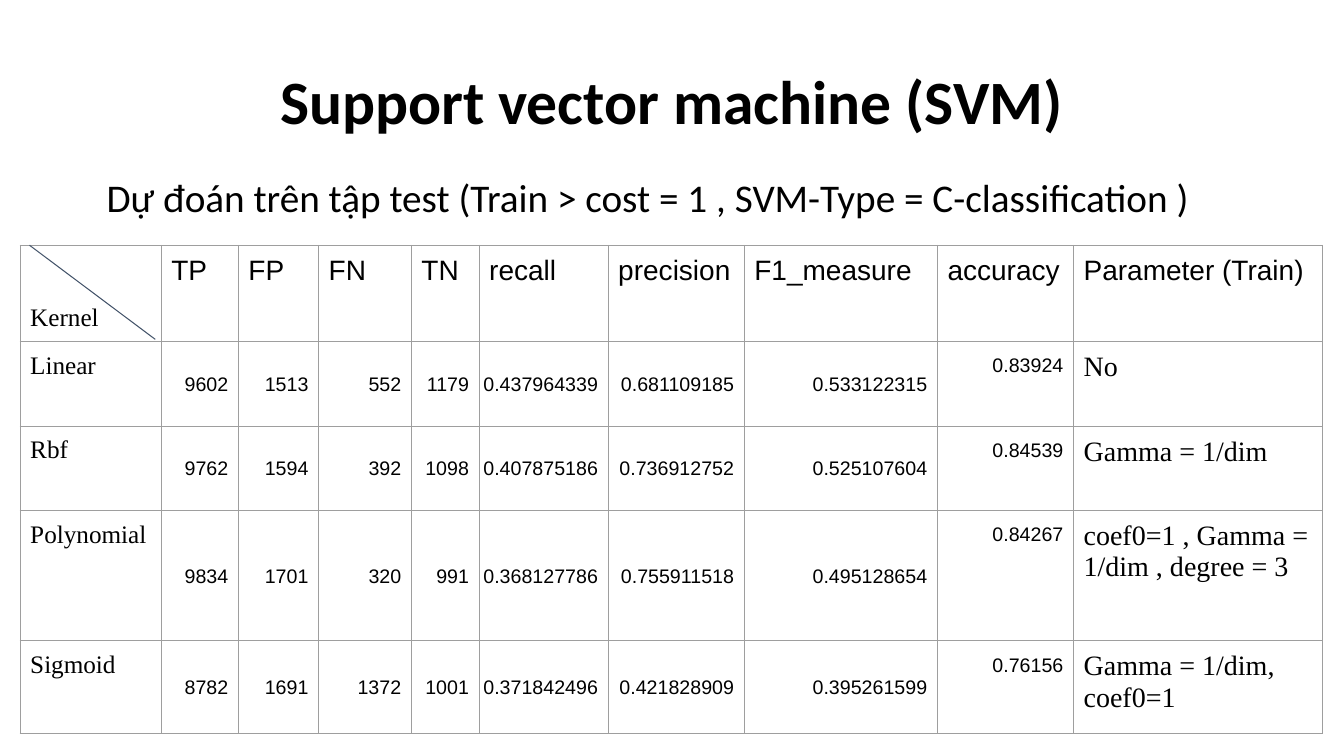
import pptx
import pptx.util
import pptx.dml.color
import pptx.enum.text
import pptx.enum.shapes
import pptx.oxml
import pptx.oxml.ns
import lxml.etree

Pt = pptx.util.Pt
ALIGN = pptx.enum.text.PP_ALIGN
ANCHOR = pptx.enum.text.MSO_ANCHOR

TITLE = "Support vector machine (SVM)"
SUBTITLE = "Dự đoán trên tập test (Train > cost = 1 , SVM-Type = C-classification )"
HEADER = ["Kernel", "TP", "FP", "FN", "TN", "recall", "precision", "F1_measure",
          "accuracy", "Parameter (Train)"]
RESULTS = [
    ["Linear", "9602", "1513", "552", "1179", "0.437964339", "0.681109185",
     "0.533122315", "0.83924", "No"],
    ["Rbf", "9762", "1594", "392", "1098", "0.407875186", "0.736912752",
     "0.525107604", "0.84539", "Gamma = 1/dim"],
    ["Polynomial", "9834", "1701", "320", "991", "0.368127786", "0.755911518",
     "0.495128654", "0.84267", "coef0=1 , Gamma = 1/dim , degree = 3"],
    ["Sigmoid", "8782", "1691", "1372", "1001", "0.371842496", "0.421828909",
     "0.395261599", "0.76156", "Gamma = 1/dim, coef0=1"],
]
COLORS = {"text": "000000", "border": "9E9E9E", "diagonal": "44546A"}
COLUMN_WIDTHS = [100.8, 55.1, 57.3, 66.3, 48.4, 92.2, 97.2, 138, 97.2, 177.8]
ROW_HEIGHTS = [68.9, 60.4, 60.4, 92.9, 66]
TABLE_LEFT, TABLE_TOP = 14.4, 175.2

KERNEL = {"font": {"name": "Times New Roman", "size": Pt(18)}}
CORNER = {**KERNEL, "anchor": ANCHOR.BOTTOM}
HEADING = {"font": {"name": "Arial", "size": Pt(20)}}
PARAMETER = {"font": {"name": "Times New Roman", "size": Pt(20)}}
COUNT = {"font": {"name": "Arial", "size": Pt(14)}, "para": {"alignment": ALIGN.RIGHT},
         "anchor": ANCHOR.MIDDLE, "margins": (0.7, 0.7, 7.2, 0)}
ACCURACY = {"font": {"name": "Arial", "size": Pt(14)},
            "para": {"alignment": ALIGN.RIGHT, "line_spacing": 1.15}}
BODY_STYLES = [KERNEL] + [COUNT] * 7 + [ACCURACY, PARAMETER]


def set_values(target, values):
    for name, value in values.items():
        setattr(target, name, value)


def write(frame, text, font, para_values):
    para = frame.paragraphs[0]
    set_values(para, para_values)
    span = para.add_run()
    span.text = text
    set_values(span.font, font)
    span.font.color.rgb = pptx.dml.color.RGBColor.from_string(COLORS["text"])
    return para


def fill_placeholder(box, place, text, font, para_values, anchor):
    set_values(box, dict(zip(("left", "top", "width", "height"), map(Pt, place))))
    set_values(box.text_frame, {"word_wrap": True, "vertical_anchor": anchor,
                                "auto_size": pptx.enum.text.MSO_AUTO_SIZE.NONE})
    return write(box.text_frame, text, {"name": "Calibri", **font}, para_values)


def add_borders(cell):
    properties = cell._tc.get_or_add_tcPr()
    for index, side in enumerate(("lnL", "lnR", "lnT", "lnB")):
        properties.insert(index, pptx.oxml.parse_xml(
            f'<a:{side} {pptx.oxml.ns.nsdecls("a")} w="{Pt(0.75)}"><a:solidFill>'
            f'<a:srgbClr val="{COLORS["border"]}"/></a:solidFill></a:{side}>'))


def fill_cell(cell, text, style):
    margins = map(Pt, style.get("margins", (7.2,) * 4))
    names = ("margin_left", "margin_top", "margin_right", "margin_bottom")
    set_values(cell, dict(zip(names, margins)))
    cell.vertical_anchor = style.get("anchor", ANCHOR.TOP)
    cell.fill.background()
    write(cell.text_frame, text, style["font"], style.get("para", {}))
    add_borders(cell)


def add_results(page):
    rows = [HEADER] + RESULTS
    table = page.shapes.add_table(len(rows), len(HEADER), Pt(TABLE_LEFT), Pt(TABLE_TOP),
                                  Pt(sum(COLUMN_WIDTHS)), Pt(sum(ROW_HEIGHTS))).table
    set_values(table, {"first_row": False, "horz_banding": False})
    for column, width in zip(table.columns, COLUMN_WIDTHS):
        column.width = Pt(width)
    for row, height in zip(table.rows, ROW_HEIGHTS):
        row.height = Pt(height)
    header_styles = [CORNER] + [HEADING] * (len(HEADER) - 1)
    for row_index, texts in enumerate(rows):
        styles = BODY_STYLES if row_index else header_styles
        for column_index, (text, style) in enumerate(zip(texts, styles)):
            fill_cell(table.cell(row_index, column_index), text, style)


def add_diagonal(page):
    line = page.shapes.add_connector(
        pptx.enum.shapes.MSO_CONNECTOR.STRAIGHT,
        Pt(TABLE_LEFT + 6.7), Pt(TABLE_TOP), Pt(TABLE_LEFT + 96.5), Pt(TABLE_TOP + 67.2))
    line.line.width = Pt(0.75)
    line.line.color.rgb = pptx.dml.color.RGBColor.from_string(COLORS["diagonal"])
    lxml.etree.SubElement(line._element.spPr, pptx.oxml.ns.qn("a:effectLst"))


def main():
    deck = pptx.Presentation()
    set_values(deck, {"slide_width": Pt(960), "slide_height": Pt(540)})
    page = deck.slides.add_slide(deck.slide_layouts[0])
    fill_placeholder(page.shapes.title, (120, 30, 720, 72), TITLE,
                     {"size": Pt(44), "bold": True},
                     {"alignment": ALIGN.CENTER, "line_spacing": 0.9}, ANCHOR.BOTTOM)
    para = fill_placeholder(page.placeholders[1], (51, 124, 834.5, 348.5), SUBTITLE,
                            {"size": Pt(28)},
                            {"alignment": ALIGN.LEFT, "line_spacing": 0.9,
                             "space_before": Pt(10)}, ANCHOR.TOP)
    indents = para._p.get_or_add_pPr()
    indents.set("marL", str(Pt(36)))
    indents.set("indent", str(Pt(-18)))
    add_results(page)
    add_diagonal(page)
    deck.save("out.pptx")


if __name__ == "__main__":
    main()
